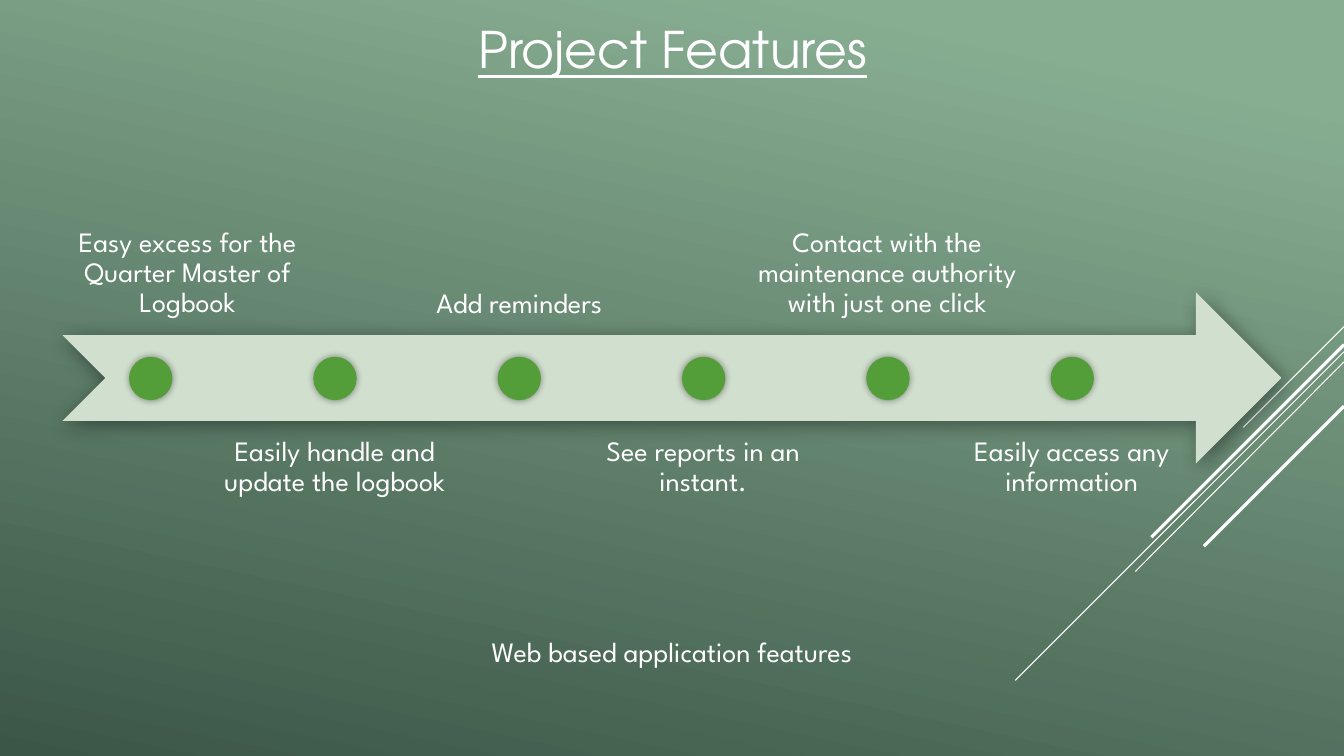
from dataclasses import dataclass

from lxml import etree
from pptx import Presentation
from pptx.dml.color import RGBColor
from pptx.enum.shapes import MSO_CONNECTOR, MSO_SHAPE
from pptx.enum.text import MSO_ANCHOR, MSO_AUTO_SIZE, PP_ALIGN
from pptx.oxml.ns import qn
from pptx.util import Inches, Pt


@dataclass(frozen=True)
class Theme:
    backdrop_light: str = "88AE92"
    backdrop_dark: str = "3B5647"
    white: str = "FFFFFF"
    arrow: str = "D1DFCE"
    dot: str = "549E39"
    shadow: str = "000000"
    title_font: str = "TeX Gyre Adventor"
    body_font: str = "League Spartan"
    title_size: int = 36
    body_size: int = 20


THEME = Theme()

# x1, y1, x2, y2, width in points
STREAKS = [
    (13.33, 3.24, 12.33, 4.24, 0.75),
    (13.33, 3.49, 10.07, 6.75, 0.75),
    (13.33, 3.59, 11.26, 5.67, 0.75),
    (13.33, 3.42, 11.42, 5.33, 2.25),
    (13.33, 4.03, 11.94, 5.42, 2.25),
]

# text, left, width; labels alternate above and below the arrow
FEATURES = [
    ("Easy excess for the Quarter Master of Logbook", 0.62, 2.48),
    ("Easily handle and update the logbook", 2.05, 2.54),
    ("Add reminders", 3.84, 2.62),
    ("See reports in an instant.", 5.81, 2.33),
    ("Contact with the maintenance authority with just one click", 7.28, 3.04),
    ("Easily access any information", 9.36, 2.54),
]
ARROW_LEFT, ARROW_TOP, ARROW_WIDTH, BAND_HEIGHT = 0.62, 2.9, 12.09, 1.7
LABEL_TOPS = (1.62, 4.18)
FIRST_DOT, LAST_DOT, DOT_TOP, DOT_SIZE = 1.28, 10.42, 3.54, 0.43
DOT_STEP = (LAST_DOT - FIRST_DOT) / (len(FEATURES) - 1)


def rgb(value):
    return RGBColor.from_string(value)


def paint_background(slide):
    fill = slide.background.fill
    fill.gradient()
    fill.gradient_angle = 360 - 102
    stops = ((0.1, THEME.backdrop_light), (1, THEME.backdrop_dark))
    for stop, (position, color) in zip(fill.gradient_stops, stops):
        stop.position = position
        stop.color.rgb = rgb(color)


def add_streak(slide, x1, y1, x2, y2, width):
    streak = slide.shapes.add_connector(
        MSO_CONNECTOR.STRAIGHT, Inches(x1), Inches(y1), Inches(x2), Inches(y2))
    streak.line.color.rgb = rgb(THEME.white)
    streak.line.width = Pt(width)
    etree.SubElement(streak._element.spPr, qn("a:effectLst"))


def add_shadowed_shape(slide, preset, box, color, blur, distance, angle):
    """Add a borderless shape with a soft shadow; blur and distance in points."""
    shape = slide.shapes.add_shape(preset, *map(Inches, box))
    shape.fill.solid()
    shape.fill.fore_color.rgb = rgb(color)
    shape.line.fill.background()
    effects = etree.SubElement(shape._element.spPr, qn("a:effectLst"))
    shadow = etree.SubElement(
        effects, qn("a:outerShdw"), blurRad=str(Pt(blur)), dist=str(Pt(distance)),
        dir=str(angle * 60000), algn="ctr", rotWithShape="0")
    shade = etree.SubElement(shadow, qn("a:srgbClr"), val=THEME.shadow)
    etree.SubElement(shade, qn("a:alpha"), val="40000")


def write_centered(frame, text, font, size, underline=False):
    frame.word_wrap = True
    paragraph = frame.paragraphs[0]
    paragraph.alignment = PP_ALIGN.CENTER
    run = paragraph.add_run()
    run.text = text
    run.font.name = font
    run.font.size = Pt(size)
    run.font.color.rgb = rgb(THEME.white)
    run.font.underline = underline
    return paragraph


def set_title(slide, text):
    title = slide.shapes.title
    title.left, title.top = Inches(4.32), Inches(0.13)
    title.width, title.height = Inches(4.7), Inches(0.71)
    frame = title.text_frame
    frame.vertical_anchor = MSO_ANCHOR.TOP
    frame.auto_size = MSO_AUTO_SIZE.SHAPE_TO_FIT_TEXT
    write_centered(frame, text, THEME.title_font, THEME.title_size, underline=True)


def add_label(slide, text, left, width, above):
    top = LABEL_TOPS[0] if above else LABEL_TOPS[1]
    label = slide.shapes.add_textbox(
        Inches(left), Inches(top), Inches(width), Inches(BAND_HEIGHT))
    frame = label.text_frame
    frame.margin_left = frame.margin_right = Inches(0.16)
    frame.margin_top = frame.margin_bottom = Inches(0.16)
    frame.vertical_anchor = MSO_ANCHOR.BOTTOM if above else MSO_ANCHOR.TOP
    paragraph = write_centered(frame, text, THEME.body_font, THEME.body_size)
    paragraph.line_spacing = 0.9


def add_caption(slide, text):
    caption = slide.shapes.add_textbox(
        Inches(3.84), Inches(6.25), Inches(5.65), Inches(0.44))
    caption.text_frame.auto_size = MSO_AUTO_SIZE.SHAPE_TO_FIT_TEXT
    write_centered(caption.text_frame, text, THEME.body_font, THEME.body_size)


def add_timeline(slide):
    add_shadowed_shape(
        slide, MSO_SHAPE.NOTCHED_RIGHT_ARROW,
        (ARROW_LEFT, ARROW_TOP, ARROW_WIDTH, BAND_HEIGHT),
        THEME.arrow, blur=14, distance=3, angle=45)
    for index, (text, left, width) in enumerate(FEATURES):
        add_label(slide, text, left, width, above=index % 2 == 0)
        add_shadowed_shape(
            slide, MSO_SHAPE.OVAL,
            (FIRST_DOT + index * DOT_STEP, DOT_TOP, DOT_SIZE, DOT_SIZE),
            THEME.dot, blur=5, distance=0, angle=0)


def main():
    presentation = Presentation()
    presentation.slide_width = Inches(13.33)
    presentation.slide_height = Inches(7.5)
    slide = presentation.slides.add_slide(presentation.slide_layouts[5])
    paint_background(slide)
    for streak in STREAKS:
        add_streak(slide, *streak)
    set_title(slide, "Project Features")
    add_timeline(slide)
    add_caption(slide, "Web based application features")
    presentation.save("out.pptx")


if __name__ == "__main__":
    main()
